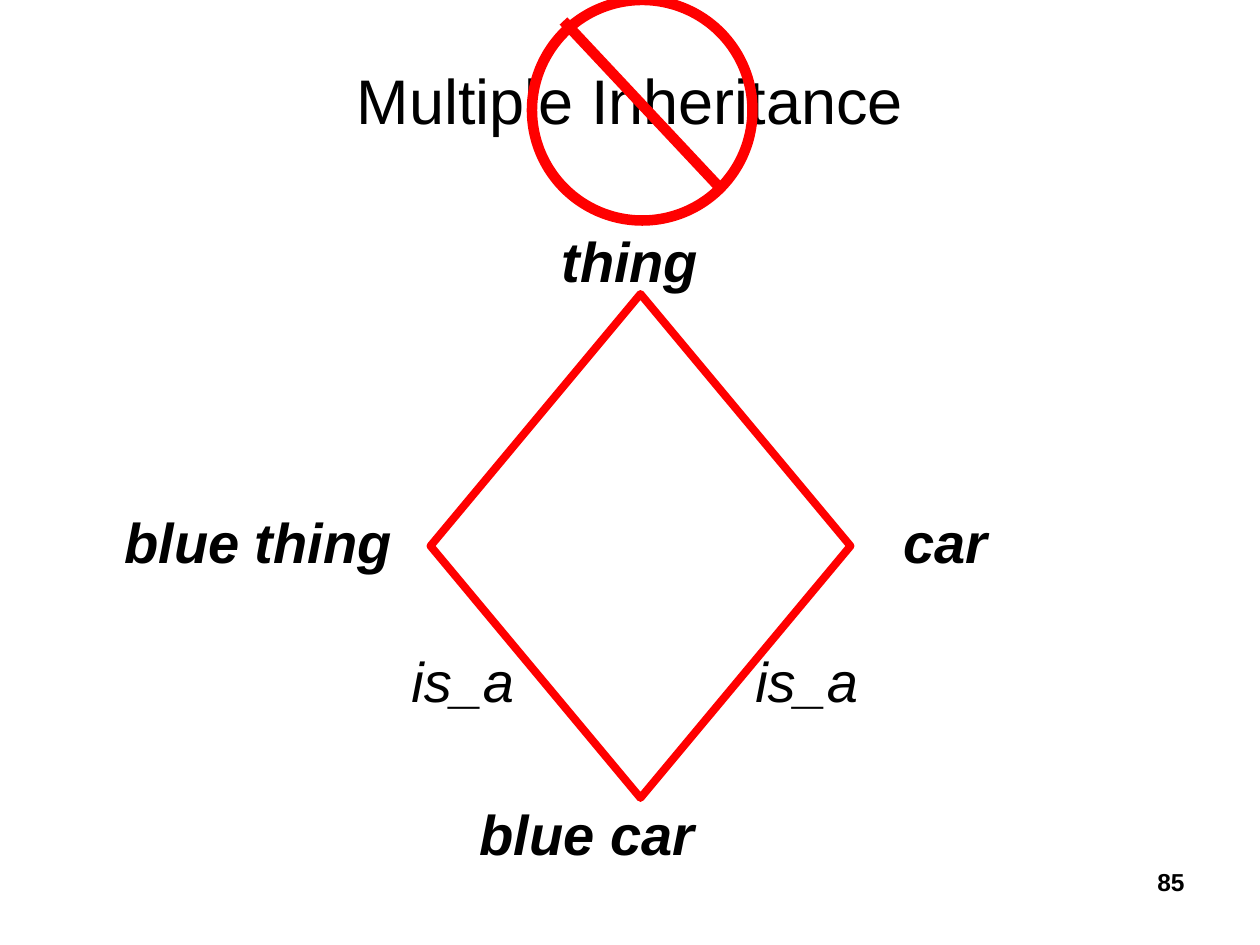
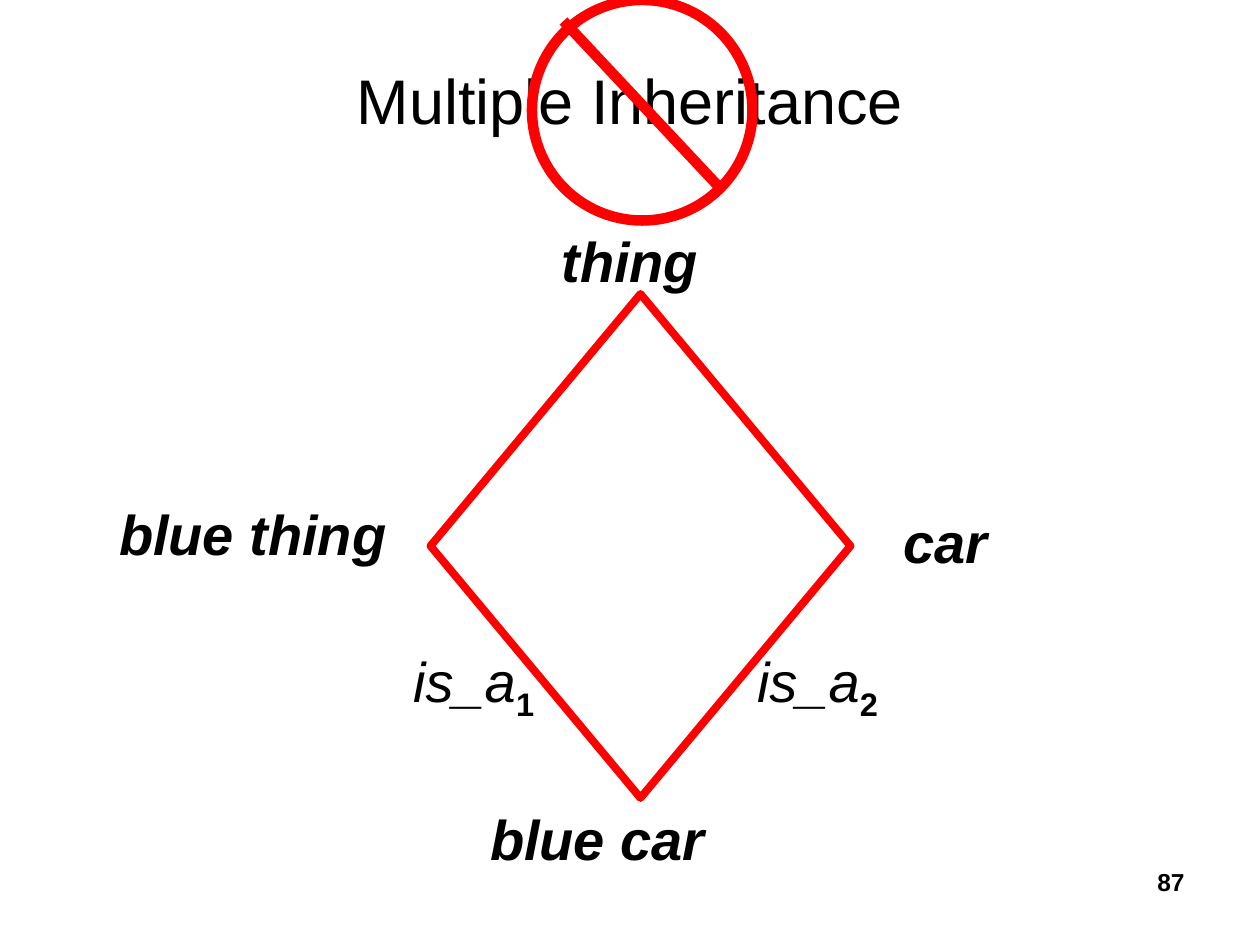
from lxml.etree import SubElement as Sub
from pptx import Presentation
from pptx.dml.color import RGBColor as Rgb
from pptx.enum.shapes import MSO_CONNECTOR as Conn, MSO_SHAPE as Form
from pptx.enum.text import MSO_ANCHOR as Anchor, PP_ALIGN as Align
from pptx.oxml.ns import qn
from pptx.util import Pt

INK, RED = "000000", "FF0000"


def color(code):
    return Rgb.from_string(code)


class Deck:
    """Holds the style and the current slide."""
    font = "Arial"
    size = 32

    def __init__(self):
        self.prs = Presentation()
        self.prs.slide_width, self.prs.slide_height = Pt(720), Pt(540)
        self.slide = None

    def page(self):
        self.slide = self.prs.slides.add_slide(self.prs.slide_layouts[6])

    def text(self, words, x, y, w, h, size=None, bold=False, italic=False,
             align=Align.LEFT, anchor=Anchor.TOP, sub=""):
        box = self.slide.shapes.add_textbox(Pt(x), Pt(y), Pt(w), Pt(h))
        frame = box.text_frame
        frame.word_wrap = True
        frame.vertical_anchor = anchor
        # Left-aligned labels fit their box closely, so they need no right inset
        if align == Align.LEFT:
            frame.margin_right = 0
        para = frame.paragraphs[0]
        para.alignment = align
        runs = [(words, bold, italic)]
        if sub:
            runs.append((sub, True, False))
        else:
            para.font.bold, para.font.italic = bold, italic
        for part, thick, slant in runs:
            run = para.add_run()
            run.text = part
            if sub:
                run.font.bold, run.font.italic = thick, slant
        if sub:
            run.font._element.set("baseline", "-25000")
        para.font.name = self.font
        para.font.size = Pt(size or self.size)
        para.font.color.rgb = color(INK)

    def label(self, words, x, y, w, **style):
        self.text(words, x, y, w, 46, italic=True, **style)

    def shape(self, form, x, y, w, h, width, home=None):
        home = home or self.slide
        item = home.shapes.add_shape(form, Pt(x), Pt(y), Pt(w), Pt(h))
        item.shadow.inherit = False
        item.fill.background()
        self.stroke(item, width)

    def line(self, x1, y1, x2, y2, width, home=None):
        home = home or self.slide
        item = home.shapes.add_connector(
            Conn.STRAIGHT, Pt(x1), Pt(y1), Pt(x2), Pt(y2))
        self.stroke(item, width)
        Sub(item._element.spPr, qn("a:effectLst"))

    def stroke(self, item, width):
        item.line.color.rgb = color(RED)
        item.line.width = Pt(width)

    def ban(self):
        group = self.slide.shapes.add_group_shape()
        self.shape(Form.OVAL, 304, 0, 126, 126, 6, group)
        self.line(322, 12, 412, 108, 6, group)


def draw(deck, number, blue, child, left, marks):
    """Draws one diamond; blue and child are the corners of those labels."""
    deck.page()
    # Page number and title
    deck.text(number, 516, 492, 168, 36, size=14, bold=True, align=Align.RIGHT)
    deck.text("Multiple Inheritance", 0, 12, 720, 90, size=36,
              align=Align.CENTER, anchor=Anchor.MIDDLE)
    # Classes around the diamond
    deck.text("thing", 36, 126, 648, 356, bold=True, italic=True,
              align=Align.CENTER)
    deck.label("car", 509, 286.5, 68, bold=True)
    deck.shape(Form.DIAMOND, 246, 168, 240, 288, 4.5)
    deck.label("blue thing", *blue, 260, bold=True)
    deck.label("blue car", *child, 191, bold=True)
    # Relations on the lower sides
    for col, mark in enumerate(marks):
        deck.label("is_a", left + col * 196.5, 366, 84 if mark else 73, sub=mark)
    # Prohibition sign over the title
    deck.ban()


def main():
    deck = Deck()
    draw(deck, "85", (64, 286.5), (267, 453.5), 228, ("", ""))
    draw(deck, "87", (61, 282), (273, 456), 229, ("1", "2"))
    deck.prs.save("out.pptx")


if __name__ == "__main__":
    main()
